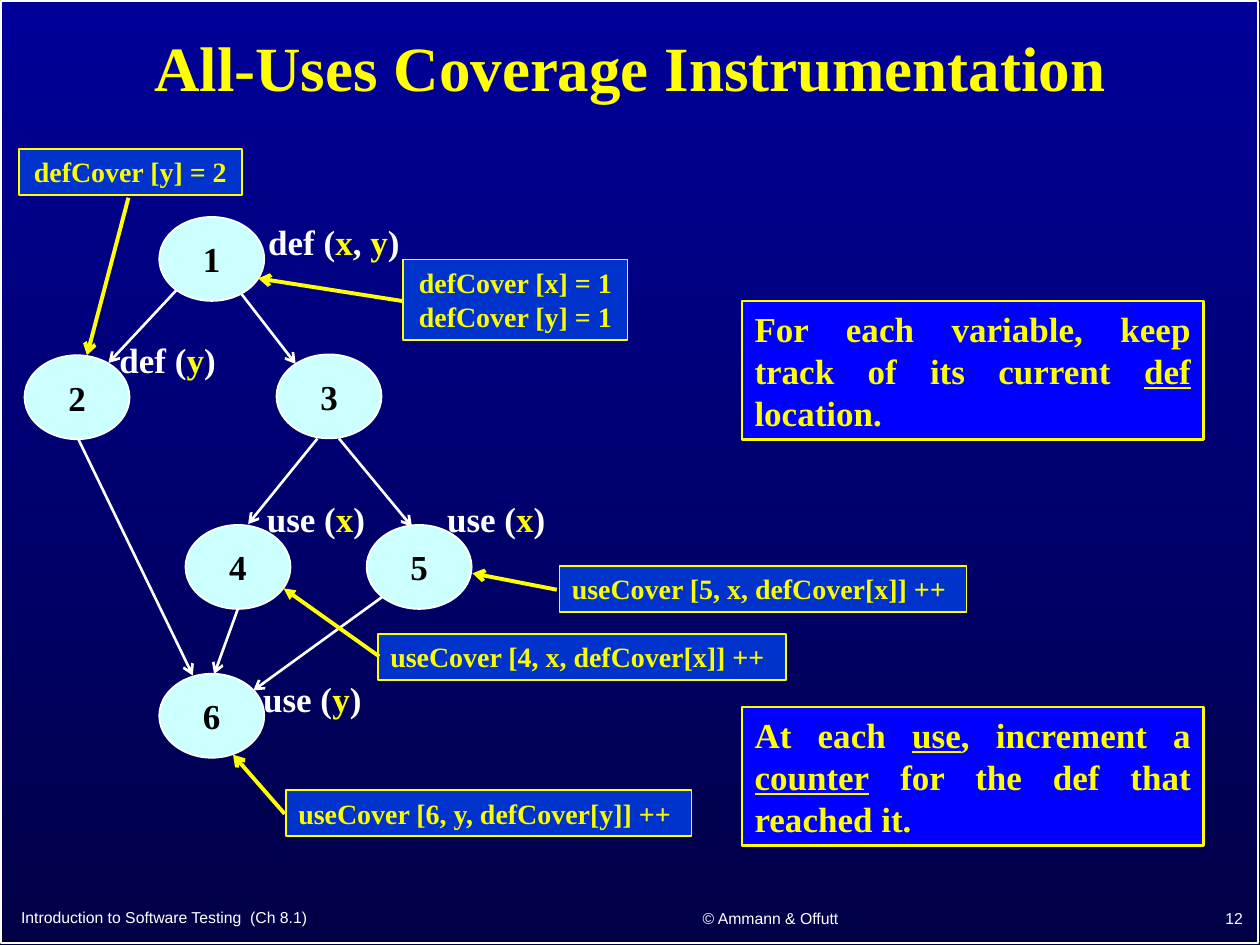
from lxml.etree import SubElement
from pptx import Presentation
from pptx.dml.color import RGBColor
from pptx.enum.shapes import MSO_CONNECTOR, MSO_SHAPE
from pptx.enum.text import MSO_ANCHOR, PP_ALIGN
from pptx.oxml.ns import qn
from pptx.util import Pt

WHITE = RGBColor(0xFF, 0xFF, 0xFF)
BLACK = RGBColor(0, 0, 0)
YELLOW = RGBColor(0xFF, 0xFF, 0)
LEMON = RGBColor(0xFA, 0xFD, 0)
PALE_CYAN = RGBColor(0xCC, 0xFF, 0xFF)
ROYAL = RGBColor(0, 0x33, 0xCC)
BLUE = RGBColor(0, 0, 0xFF)
NIGHT_TOP = RGBColor(0, 0, 0x99)
NIGHT_BOTTOM = RGBColor(0, 0, 0x47)

RECTANGLE = MSO_SHAPE.RECTANGLE
OVAL = MSO_SHAPE.OVAL
STRAIGHT = MSO_CONNECTOR.STRAIGHT
TOP, MIDDLE = MSO_ANCHOR.TOP, MSO_ANCHOR.MIDDLE
LEFT, CENTER = PP_ALIGN.LEFT, PP_ALIGN.CENTER
RIGHT, JUSTIFY = PP_ALIGN.RIGHT, PP_ALIGN.JUSTIFY

SERIF = {"name": "Times New Roman", "bold": True}
TITLE = {**SERIF, "size": Pt(36)}
BODY = {**SERIF, "size": Pt(20)}
CODE = {**SERIF, "size": Pt(16)}
FOOTER = {"name": "Arial", "size": Pt(9)}

NODE_SIZE = (60, 48)
NODES = {"1": (77, 0), "2": (0, 79), "3": (144, 78.5),
         "4": (92, 176), "5": (195.5, 176), "6": (77, 261)}
EDGES = [((87, 41.6), (48, 83.4)), ((124, 44), (155, 84)),
         ((167.4, 126.6), (127.8, 175.5)), ((179.7, 126.6), (221.4, 177)),
         ((204.2, 217.3), (130.7, 270.6)), ((122, 223.8), (108.4, 261.2)),
         ((30.6, 126.6), (96.2, 262))]
NODE_LABELS = [("def", "xy", 132.2, -1.6), ("use", "x", 234.4, 156.8),
               ("use", "x", 131.4, 156.8), ("def", "y", 47.2, 66),
               ("use", "y", 129.3, 259.8)]

CALLOUTS = [
    ((319.7, 323.3, 232.6, 26.6), ["useCover [5, x, defCover[x]] ++"], LEFT,
     (-1.5, 13.7), (-49.7, 4.3), "arrow"),
    ((216, 362.2, 233.3, 26.6), ["useCover [4, x, defCover[x]] ++"], LEFT,
     (0.7, 12.9), (-54, -26), "triangle"),
    ((163.4, 451.4, 231.8, 26.6), ["useCover [6, y, defCover[y]] ++"], LEFT,
     (-0.7, 13.7), (-30.2, -20.1), "arrow"),
    ((230.4, 148.3, 128.2, 46), ["defCover [x] = 1", "defCover [y] = 1"], CENTER,
     (0, 23.8), (-82.8, 10.8), "arrow"),
    ((10.8, 85, 127.4, 26.6), ["defCover [y] = 2"], CENTER,
     (62.6, 28), (38.9, 118), "arrow"),
]
RULES = [
    ((424.1, 172, 263.5, 79.2),
     [("For each variable, keep track of its current ", False),
      ("def", True), (" location.", False)]),
    ((424.1, 404, 263.5, 79.2),
     [("At each ", False), ("use", True), (", increment a ", False),
      ("counter", True), (" for the def that reached it.", False)]),
]
FOOTERS = [
    ((5, 512, 307.4, 23.8), "Introduction to Software Testing  (Ch 8.1)", LEFT),
    ((324.7, 514, 231.1, 21.6), "© Ammann & Offutt", CENTER),
    ((567.4, 513.4, 149.8, 22.3), "12", RIGHT),
]


def apply(target, values):
    for attribute, value in values.items():
        setattr(target, attribute, value)


def write(holder, paragraphs, font, align=LEFT, anchor=TOP, wrap=True):
    frame = holder.text_frame
    apply(frame, {"word_wrap": wrap, "vertical_anchor": anchor})
    for index, pieces in enumerate(paragraphs):
        paragraph = frame.paragraphs[0] if index == 0 else frame.add_paragraph()
        paragraph.alignment = align
        for words, color, underline in pieces:
            run = paragraph.add_run()
            run.text = words
            apply(run.font, {**font, "underline": underline or None})
            run.font.color.rgb = color


def add_text(slide, box, *text, **layout):
    label = slide.shapes.add_textbox(*map(Pt, box))
    write(label, *text, **layout)
    return label


def add_panel(slide, kind, box, fill, edge, weight):
    panel = slide.shapes.add_shape(kind, *map(Pt, box))
    panel.shadow.inherit = False
    if fill is None:
        panel.fill.background()
    else:
        panel.fill.solid()
        panel.fill.fore_color.rgb = fill
    panel.line.color.rgb = edge
    panel.line.width = Pt(weight)
    return panel


def add_arrow(slide, origin, start, end, color, weight, head="arrow"):
    x, y = origin
    arrow = slide.shapes.add_connector(
        STRAIGHT, Pt(x + start[0]), Pt(y + start[1]), Pt(x + end[0]), Pt(y + end[1]))
    arrow.line.color.rgb = color
    arrow.line.width = Pt(weight)
    SubElement(arrow.get_or_add_ln(), qn("a:tailEnd"), type=head)
    SubElement(arrow.element.spPr, qn("a:effectLst"))


def draw_backdrop(slide, box):
    fill = slide.background.fill
    fill.gradient()
    fill.gradient_angle = 270
    for stop, position, color in zip(fill.gradient_stops, (0, 1), (NIGHT_TOP, NIGHT_BOTTOM)):
        stop.position = position
        stop.color.rgb = color
    add_panel(slide, RECTANGLE, box, None, WHITE, 1)


def draw_title(slide, box):
    title = add_text(slide, box, [[("All-Uses Coverage Instrumentation", YELLOW, False)]],
                     TITLE, CENTER, MIDDLE)
    title.text_frame.paragraphs[0].line_spacing = 0.9


def draw_footer(slide, box, words, align):
    add_text(slide, box, [[(words, WHITE, False)]], FOOTER, align, MIDDLE)


def draw_flow_graph(slide, box):
    left, top = box
    for number, (x, y) in NODES.items():
        node = add_panel(slide, OVAL, (left + x, top + y, *NODE_SIZE), PALE_CYAN, WHITE, 1)
        write(node, [[(number, BLACK, False)]], BODY, CENTER, MIDDLE, wrap=False)
    for start, end in EDGES:
        add_arrow(slide, box, start, end, WHITE, 1.5)
    for action, variables, x, y in NODE_LABELS:
        pieces = [(f"{action} (", WHITE, False)]
        for index, variable in enumerate(variables):
            if index:
                pieces.append((", ", WHITE, False))
            pieces.append((variable, YELLOW, False))
        pieces.append((")", WHITE, False))
        width = 50 + 22 * len(variables)
        add_text(slide, (left + x, top + y, width, 31.7), [pieces], BODY)


def draw_callout(slide, box, lines, align, start, end, head):
    callout = add_panel(slide, RECTANGLE, box, ROYAL, YELLOW, 1)
    write(callout, [[(line, LEMON, False)] for line in lines], CODE, align)
    add_arrow(slide, box[:2], start, end, YELLOW, 2.25, head)


def draw_rule(slide, box, pieces):
    rule = add_panel(slide, RECTANGLE, box, BLUE, YELLOW, 1.5)
    write(rule, [[(words, YELLOW, underline) for words, underline in pieces]], BODY, JUSTIFY)


def main():
    deck = Presentation()
    apply(deck, {"slide_width": Pt(720), "slide_height": Pt(540)})
    slide = deck.slides.add_slide(deck.slide_layouts[6])
    draw_backdrop(slide, (0.7, 0.7, 718, 538))
    for footer in FOOTERS:
        draw_footer(slide, *footer)
    draw_title(slide, (9.4, 6.5, 701.3, 68.4))
    draw_flow_graph(slide, (14, 124))
    for callout in CALLOUTS:
        draw_callout(slide, *callout)
    for rule in RULES:
        draw_rule(slide, *rule)
    deck.save("out.pptx")


if __name__ == "__main__":
    main()
